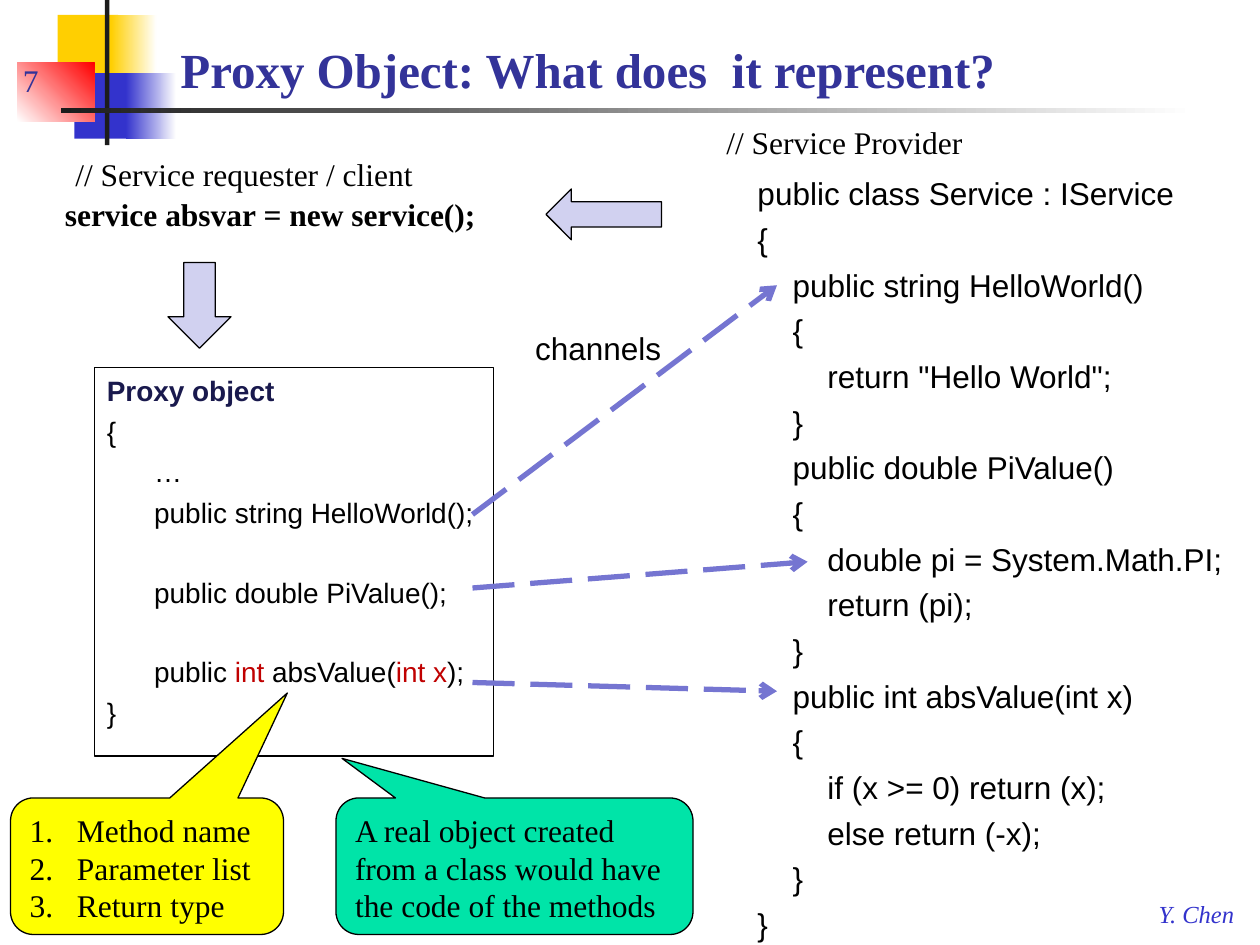
from lxml.etree import SubElement
from pptx import Presentation
from pptx.dml.color import RGBColor
from pptx.enum.dml import MSO_LINE
from pptx.enum.shapes import MSO_CONNECTOR, MSO_SHAPE
from pptx.enum.text import MSO_ANCHOR, PP_ALIGN
from pptx.oxml.ns import qn
from pptx.util import Pt

SERIF, SANS = "Times New Roman", "Arial"
BLACK, WHITE, INK = "000000", "FFFFFF", "1C1C1C"
YELLOW, BLUE, NAVY, RED = "FFCF01", "3333CC", "333399", "C00000"
LILAC, VIOLET = "D1D1F0", "7575D1"


def color(value):
    return RGBColor.from_string(value)


def write(frame, text, font=SERIF, size=18, ink=BLACK, bold=False, italic=False,
          anchor=MSO_ANCHOR.TOP, wrap=True, gap=0, step=0, numbered=False):
    frame.word_wrap = wrap
    frame.vertical_anchor = anchor
    lines = [text] if isinstance(text, str) else text
    for index, line in enumerate(lines):
        level, content, *extra = line if isinstance(line, tuple) else (0, line)
        style = extra[0] if extra else {}
        paragraph = frame.paragraphs[0] if index == 0 else frame.add_paragraph()
        paragraph.alignment = PP_ALIGN.LEFT
        paragraph.space_before = Pt(style.get("gap", gap))
        properties = paragraph._p.get_or_add_pPr()
        if numbered:
            properties.set("marL", str(Pt(27)))
            properties.set("indent", str(-Pt(27)))
            SubElement(properties, qn("a:buAutoNum"), type="arabicPeriod")
        elif level:
            properties.set("marL", str(Pt(level * step)))
        pieces = [(content, style.get("ink", ink))] if isinstance(content, str) else content
        for words, tint in pieces:
            run = paragraph.add_run()
            run.text = words
            run.font.name = font
            run.font.size = Pt(size)
            run.font.bold = style.get("bold", bold)
            run.font.italic = italic
            run.font.color.rgb = color(tint)


class Board:
    def __init__(self, slide, outline=0.75):
        self.shapes = slide.shapes
        self.outline = outline

    def shape(self, kind, box, fill=None, line=None, adjustments=()):
        item = self.shapes.add_shape(kind, *map(Pt, box))
        item.shadow.inherit = False
        for index, value in enumerate(adjustments):
            item.adjustments[index] = value
        if fill:
            item.fill.solid()
            item.fill.fore_color.rgb = color(fill)
        else:
            item.fill.background()
        if line:
            item.line.color.rgb = color(line)
            item.line.width = Pt(self.outline)
        else:
            item.line.fill.background()
        return item

    def fade(self, box, start, end, angle=0):
        fill = self.shape(MSO_SHAPE.RECTANGLE, box).fill
        fill.gradient()
        fill.gradient_angle = angle
        for stop, position, tint in zip(fill.gradient_stops, (0, 1), (start, end)):
            stop.position = position
            stop.color.rgb = color(tint)

    def text(self, box, text, **style):
        write(self.shapes.add_textbox(*map(Pt, box)).text_frame, text, **style)

    def callout(self, box, fill, tip, text, **style):
        bubble = self.shape(MSO_SHAPE.ROUNDED_RECTANGULAR_CALLOUT, box, fill, BLACK, (*tip, 0.167))
        write(bubble.text_frame, text, **style)

    def channel(self, *ends):
        link = self.shapes.add_connector(MSO_CONNECTOR.STRAIGHT, *map(Pt, ends))
        link.line.color.rgb = color(VIOLET)
        link.line.width = Pt(3)
        link.line.dash_style = MSO_LINE.LONG_DASH
        SubElement(link.line._get_or_add_ln(), qn("a:tailEnd"), type="arrow")
        SubElement(link._element.spPr, qn("a:effectLst"))


deck = Presentation()
deck.slide_width, deck.slide_height = Pt(720), Pt(540)
board = Board(deck.slides.add_slide(deck.slide_layouts[6]))

board.shape(MSO_SHAPE.RECTANGLE, (33, 8.5, 34.5, 37.5), YELLOW)
board.fade((63.5, 8.5, 26, 37.5), YELLOW, WHITE)
board.shape(MSO_SHAPE.RECTANGLE, (42.5, 41.75, 33, 37.5), BLUE)
board.fade((72, 41.75, 28.8, 37.5), BLUE, WHITE)
board.fade((10, 36, 44, 33.5), WHITE, "FF0000", angle=45)
board.shape(MSO_SHAPE.RECTANGLE, (60, 0, 2.5, 83), INK)
board.fade((35, 62, 648, 2.5), INK, WHITE)

board.text((655, 510, 59, 24), "Y. Chen", size=14, ink=BLUE, italic=True, wrap=False)
board.text((96, 0, 624, 60), "Proxy Object: What does  it represent?", size=28, ink=NAVY,
           bold=True, anchor=MSO_ANCHOR.BOTTOM)

provider_code = [
    "public class Service : IService", "{",
    (1, "public string HelloWorld()"), (1, "{"),
    (2, 'return "Hello World";'), (1, "}"),
    (1, "public double PiValue()"), (1, "{"),
    (2, "double pi = System.Math.PI;"), (2, "return (pi);"), (1, "}"),
    (1, "public int absValue(int x)"), (1, "{"),
    (2, "if (x >= 0) return (x);"), (2, "else return (-x);"), (1, "}"),
    "}",
]
board.text((425.75, 96, 292, 438), provider_code, font=SANS, gap=4.5, step=20)
board.text((6, 24, 48, 36), "7", ink=NAVY, anchor=MSO_ANCHOR.BOTTOM)

board.text((30, 108, 252, 29), "service absvar = new service();", bold=True, wrap=False)
board.shape(MSO_SHAPE.LEFT_ARROW, (312, 108, 66, 29), LILAC, BLACK)
board.text((36, 85, 209.5, 29), "// Service requester / client", wrap=False)

method_gap = {"gap": 26.4}
proxy_code = [
    (0, "Proxy object", {"bold": True, "ink": "19194D"}), "{",
    (1, "…"), (1, "public string HelloWorld();"),
    (1, "public double PiValue();", method_gap),
    (1, [("public ", BLACK), ("int ", RED), ("absValue(", BLACK), ("int x", RED), (");", BLACK)],
     method_gap),
    "}",
]
proxy = board.shape(MSO_SHAPE.RECTANGLE, (54, 210, 228, 222), line=BLACK)
write(proxy.text_frame, proxy_code, font=SANS, size=16, gap=4, step=27)
board.shape(MSO_SHAPE.DOWN_ARROW, (96, 150, 36, 49), LILAC, BLACK)

for start, tip_x, tip_y in ((294, 444, 163), (390, 444, 395), (336, 461.5, 321)):
    board.channel(270, start, tip_x, tip_y)

board.callout((192, 456, 204, 78), "00E4A8", (-0.483, -0.79),
              "A real object created from a class would have the code of the methods")
board.text((408, 67, 151, 29), "// Service Provider", wrap=False)
board.callout((6, 456, 156, 78), "FFFF00", (0.514, -1.269),
              ["Method name", "Parameter list", "Return type"], numbered=True)
board.text((298.75, 184.5, 87, 29), "channels", font=SANS, wrap=False)

deck.save("out.pptx")
